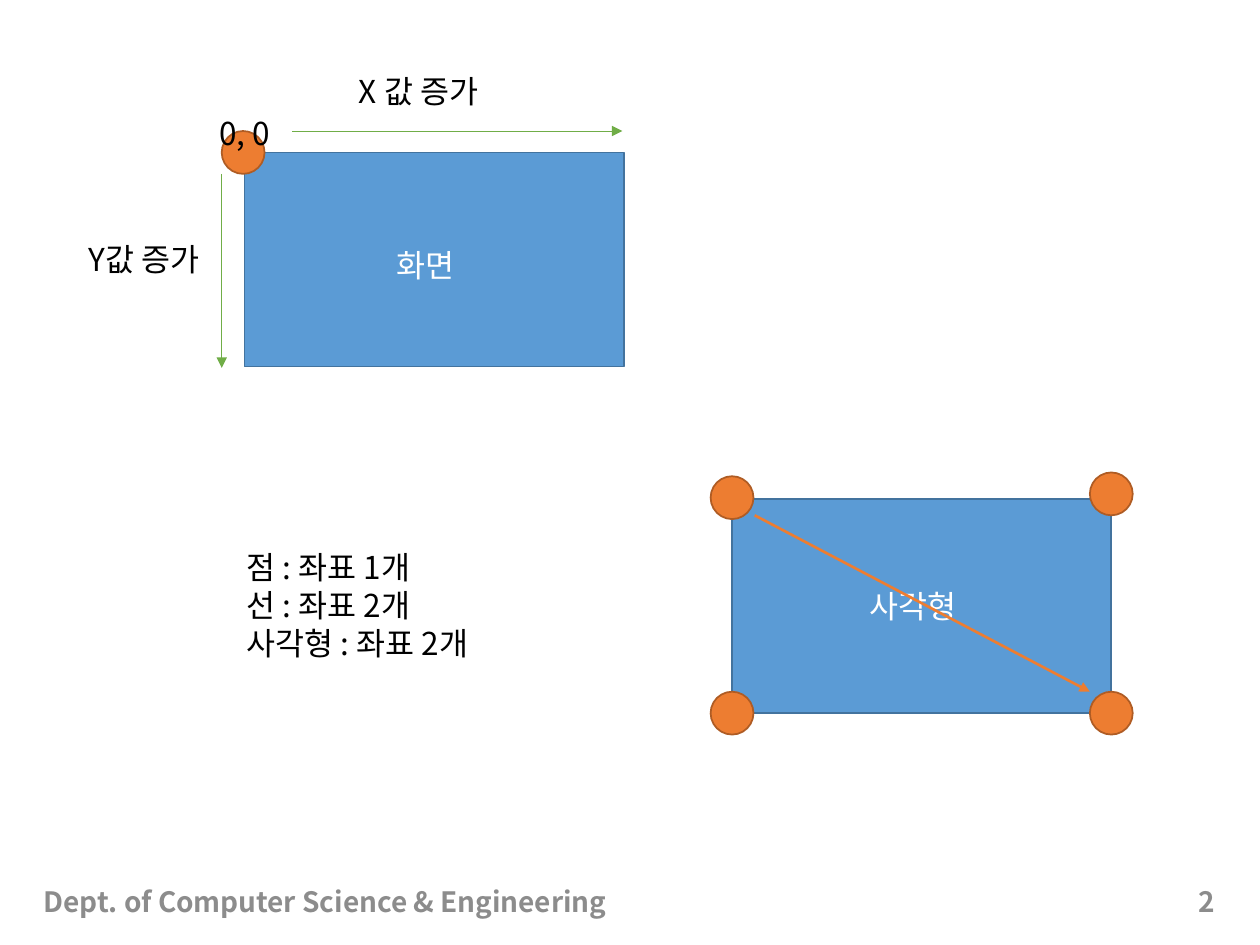
from lxml.etree import SubElement as Sub
from pptx import Presentation
from pptx.dml.color import RGBColor
from pptx.enum.shapes import MSO_CONNECTOR as Link, MSO_SHAPE as Kind
from pptx.enum.text import MSO_ANCHOR as Anchor, PP_ALIGN as Align
from pptx.oxml.ns import qn
from pptx.util import Inches, Pt

FONT = "Noto Sans CJK KR"
BLACK = RGBColor(0x00, 0x00, 0x00)
WHITE = RGBColor(0xFF, 0xFF, 0xFF)
GRAY = RGBColor(0x8C, 0x8C, 0x8C)
BLUE = RGBColor(0x5B, 0x9B, 0xD5)
NAVY = RGBColor(0x43, 0x73, 0x9E)
ORANGE = RGBColor(0xED, 0x7D, 0x31)
RUST = RGBColor(0xAF, 0x5C, 0x24)
GREEN = RGBColor(0x70, 0xAD, 0x47)
DOT = 0.34


def add_text(slide, text, x, y, w, h=0.4, size=18, color=BLACK, bold=False,
             align=Align.LEFT, anchor=Anchor.TOP):
    """Add a text box with one paragraph per line of text."""
    frame = slide.shapes.add_textbox(Inches(x), Inches(y), Inches(w), Inches(h)).text_frame
    frame.word_wrap = True
    frame.vertical_anchor = anchor
    frame.text = text
    for para in frame.paragraphs:
        para.alignment = align
        for run in para.runs:
            font = run.font
            font.name, font.size, font.bold = FONT, Pt(size), bold
            font.color.rgb = color
            Sub(run._r.get_or_add_rPr(), qn("a:ea"), typeface=FONT)


def add_form(slide, kind, x, y, w, h, fill, edge):
    """Add a filled shape with a thin outline."""
    form = slide.shapes.add_shape(kind, Inches(x), Inches(y), Inches(w), Inches(h))
    form.shadow.inherit = False
    form.fill.solid()
    form.fill.fore_color.rgb = fill
    form.line.color.rgb = edge
    form.line.width = Pt(1)


def add_panel(slide, x, y):
    """Add a blue screen panel."""
    add_form(slide, Kind.RECTANGLE, x, y, 3.01, 1.7, BLUE, NAVY)


def add_dot(slide, x, y):
    """Add an orange corner point."""
    add_form(slide, Kind.OVAL, x, y, DOT, DOT, ORANGE, RUST)


def add_arrow(slide, start, end, color, width):
    """Add a straight arrow from start to end."""
    ends = [Inches(v) for v in (*start, *end)]
    arrow = slide.shapes.add_connector(Link.STRAIGHT, *ends)
    arrow.line.color.rgb = color
    arrow.line.width = Pt(width)
    Sub(arrow.line._get_or_add_ln(), qn("a:tailEnd"), type="triangle")
    Sub(arrow._element.spPr, qn("a:effectLst"))


def add_footer(slide):
    """Add the department name and the page number."""
    style = dict(size=16, color=GRAY, bold=True, anchor=Anchor.MIDDLE)
    add_text(slide, "Dept. of Computer Science & Engineering", 0.25, 6.95, 6.44, **style)
    add_text(slide, "2", 7.06, 6.95, 2.68, align=Align.RIGHT, **style)


def add_axes(slide):
    """Add the screen with its origin and both axes."""
    add_panel(slide, 1.94, 1.21)
    add_dot(slide, 1.76, 1.04)
    add_text(slide, "0, 0", 1.29, 0.86, 1.3, align=Align.CENTER)
    add_arrow(slide, (2.32, 1.04), (4.94, 1.04), GREEN, 0.5)
    add_arrow(slide, (1.76, 1.38), (1.76, 2.92), GREEN, 0.5)
    add_text(slide, "Y값 증가", 0.09, 1.86, 1.59, align=Align.RIGHT)
    add_text(slide, "X 값 증가", 2.75, 0.52, 1.59)


def add_box(slide):
    """Add the rectangle with its corners and diagonal."""
    add_panel(slide, 5.81, 3.96)
    for x, y in ((5.64, 3.78), (5.64, 5.49), (8.65, 5.49), (8.65, 3.75)):
        add_dot(slide, x, y)
    add_text(slide, "화면", 3.05, 1.9, 1.52, color=WHITE)
    add_text(slide, "사각형", 6.8, 4.61, 1.52, color=WHITE)
    add_arrow(slide, (5.99, 4.09), (8.65, 5.49), ORANGE, 1.5)


def main():
    """Build and save the slide."""
    deck = Presentation()
    deck.slide_width, deck.slide_height = Inches(10), Inches(7.5)
    slide = deck.slides.add_slide(deck.slide_layouts[6])
    add_footer(slide)
    add_axes(slide)
    add_text(slide, "점 : 좌표 1개\n선 : 좌표 2개\n사각형 : 좌표 2개", 1.86, 4.3, 3.38, 1.01)
    add_box(slide)
    deck.save("out.pptx")


if __name__ == "__main__":
    main()
